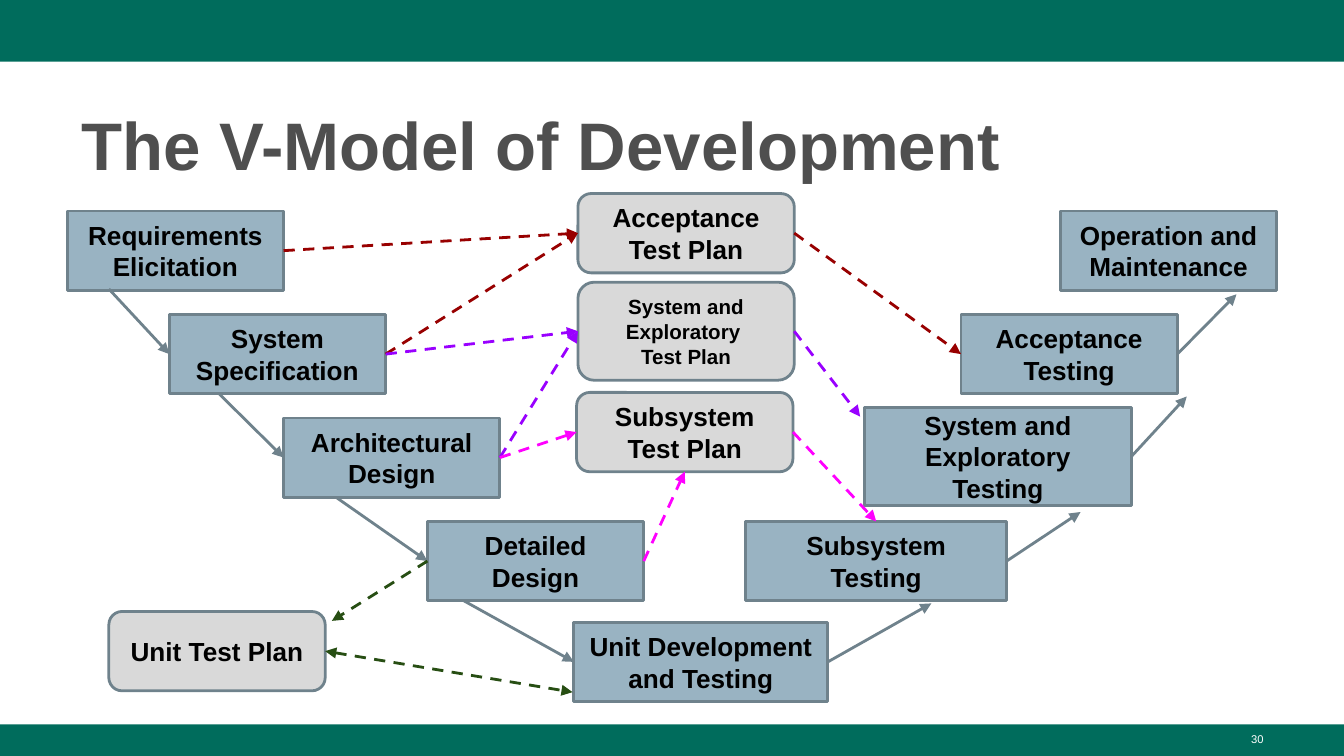
from lxml.etree import SubElement
from pptx import Presentation
from pptx.dml.color import RGBColor
from pptx.enum.dml import MSO_LINE
from pptx.enum.shapes import MSO_CONNECTOR, MSO_SHAPE
from pptx.enum.text import MSO_ANCHOR, PP_ALIGN
from pptx.oxml.ns import qn
from pptx.util import Inches, Pt

COLORS = {
    "band": "006C5C", "title": "4F4F4F", "text": "000000", "white": "FFFFFF",
    "phase": "99B3C2", "plan": "D9D9D9", "outline": "6F828C",
    "acceptance": "980000", "system": "9900FF", "subsystem": "FF00FF", "unit": "274E13",
}
TOP, LEFT, BOTTOM, RIGHT = range(4)  # connection sites of a rectangle
SLIDE_W = 10
SLIDE_H = SLIDE_W * 9 / 16
BOX_W, BOX_H, TALL_H = 1.61, 0.59, 0.73


class SlideBuilder:
    def __init__(self, slide, font="Arial", line_width=1.5):
        self.slide = slide
        self.font = font
        self.line_width = Pt(line_width)

    def color(self, name):
        return RGBColor.from_string(COLORS[name])

    def style(self, frame, size, color, align, bold=True):
        for paragraph in frame.paragraphs:
            paragraph.alignment = align
            font = paragraph.font
            font.name, font.size, font.bold = self.font, Pt(size), bold
            font.color.rgb = self.color(color)

    def title(self, text, *place):
        title = self.slide.shapes.title
        title.left, title.top, title.width, title.height = map(Inches, place)
        frame = title.text_frame
        frame.text = text
        frame.vertical_anchor = MSO_ANCHOR.TOP
        frame.paragraphs[0].line_spacing = 1.08
        self.style(frame, 36, "title", PP_ALIGN.LEFT)

    def shape(self, kind, fill, *place):
        shape = self.slide.shapes.add_shape(kind, *map(Inches, place))
        shape.shadow.inherit = False
        shape.fill.solid()
        shape.fill.fore_color.rgb = self.color(fill)
        return shape

    def band(self, top, height):
        self.shape(MSO_SHAPE.RECTANGLE, "band", 0, top, SLIDE_W, height).line.fill.background()

    def box(self, text, left, top, width=BOX_W, height=BOX_H, size=14, plan=False):
        kind, fill = (MSO_SHAPE.ROUNDED_RECTANGLE, "plan") if plan else (MSO_SHAPE.RECTANGLE, "phase")
        box = self.shape(kind, fill, left, top, width, height)
        box.line.color.rgb = self.color("outline")
        box.line.width = self.line_width
        frame = box.text_frame
        frame.text = text
        frame.word_wrap = True
        frame.vertical_anchor = MSO_ANCHOR.MIDDLE
        frame.margin_left = frame.margin_right = Inches(0.1)
        frame.margin_top = frame.margin_bottom = Inches(0.1)
        self.style(frame, size, "text", PP_ALIGN.CENTER)
        return box

    def arrow(self, start, end, color="outline", dashed=False, both_ends=False):
        """Join two ends, each a (box, site) pair or an (x, y) point in inches."""
        arrow = self.slide.shapes.add_connector(MSO_CONNECTOR.STRAIGHT, 0, 0, 0, 0)
        if isinstance(start[0], float):
            arrow.begin_x, arrow.begin_y = map(Inches, start)
        else:
            arrow.begin_connect(*start)
        if isinstance(end[0], float):
            arrow.end_x, arrow.end_y = map(Inches, end)
        else:
            arrow.end_connect(*end)
        arrow.line.color.rgb = self.color(color)
        arrow.line.width = self.line_width
        if dashed:
            arrow.line.dash_style = MSO_LINE.DASH
        outline = arrow.line._get_or_add_ln()
        for tag in (["a:headEnd"] if both_ends else []) + ["a:tailEnd"]:
            SubElement(outline, qn(tag), type="triangle")
        SubElement(arrow._element.spPr, qn("a:effectLst"))

    def page_number(self, text, *place):
        frame = self.slide.shapes.add_textbox(*map(Inches, place)).text_frame
        frame.word_wrap = True
        frame.text = text
        self.style(frame, 6, "white", PP_ALIGN.RIGHT, bold=False)


def main():
    prs = Presentation()
    prs.slide_width, prs.slide_height = Inches(SLIDE_W), Inches(SLIDE_H)
    page = SlideBuilder(prs.slides.add_slide(prs.slide_layouts[5]))

    page.band(0, 0.46)
    page.band(5.39, SLIDE_H - 5.39)
    page.title("The V-Model of Development", 0.51, 0.67, 8.99, 0.73)

    # Both arms of the V share the same row tops
    row_1, row_2, row_3, row_4 = (1.57 + 0.77 * row for row in range(4))
    requirements = page.box("Requirements Elicitation", 0.5, row_1)
    specification = page.box("System Specification", 1.26, row_2)
    architecture = page.box("Architectural Design", 2.11, row_3)
    design = page.box("Detailed Design", 3.18, row_4)
    unit_work = page.box("Unit Development and Testing", 4.27, 4.63, 1.89)
    subsystem_test = page.box("Subsystem Testing", 5.55, row_4, 1.94)
    system_test = page.box("System and Exploratory Testing", 6.43, 3.03, 1.99, TALL_H)
    acceptance_test = page.box("Acceptance Testing", 7.15, row_2)
    page.box("Operation and Maintenance", 7.89, row_1)

    for start, next_phase in [
        ((0.81, 2.15), specification), ((1.63, 2.93), architecture),
        ((2.5, 3.7), design), ((3.45, 4.47), unit_work),
    ]:
        page.arrow(start, (next_phase, LEFT))
    for phase, end in [
        (unit_work, (6.93, 4.49)), (subsystem_test, (8.04, 3.81)),
        (system_test, (8.83, 2.95)), (acceptance_test, (9.2, 2.19)),
    ]:
        page.arrow((phase, RIGHT), end)

    acceptance_plan = page.box("Acceptance Test Plan", 4.3, 1.44, plan=True)
    system_plan = page.box("System and Exploratory \vTest Plan", 4.3, 2.1,
                           height=TALL_H, size=11, plan=True)
    subsystem_plan = page.box("Subsystem Test Plan", 4.29, 2.92, plan=True)
    unit_plan = page.box("Unit Test Plan", 0.81, 4.55, plan=True)

    for start, end, color in [
        ((requirements, RIGHT), (acceptance_plan, LEFT), "acceptance"),
        ((specification, RIGHT), (acceptance_plan, LEFT), "acceptance"),
        ((specification, RIGHT), (system_plan, LEFT), "system"),
        ((architecture, RIGHT), (system_plan, LEFT), "system"),
        ((architecture, RIGHT), (subsystem_plan, LEFT), "subsystem"),
        ((design, RIGHT), (subsystem_plan, BOTTOM), "subsystem"),
        ((acceptance_plan, RIGHT), (acceptance_test, LEFT), "acceptance"),
        ((system_plan, RIGHT), (6.4, 3.1), "system"),
        ((subsystem_plan, RIGHT), (subsystem_test, TOP), "subsystem"),
        ((design, LEFT), (2.47, 4.62), "unit"),
    ]:
        page.arrow(start, end, color, dashed=True)
    page.arrow((unit_plan, RIGHT), (4.26, 5.15), "unit", dashed=True, both_ends=True)

    page.page_number("30", 7.17, 5.4, 2.33, 0.23)
    prs.save("out.pptx")


if __name__ == "__main__":
    main()
